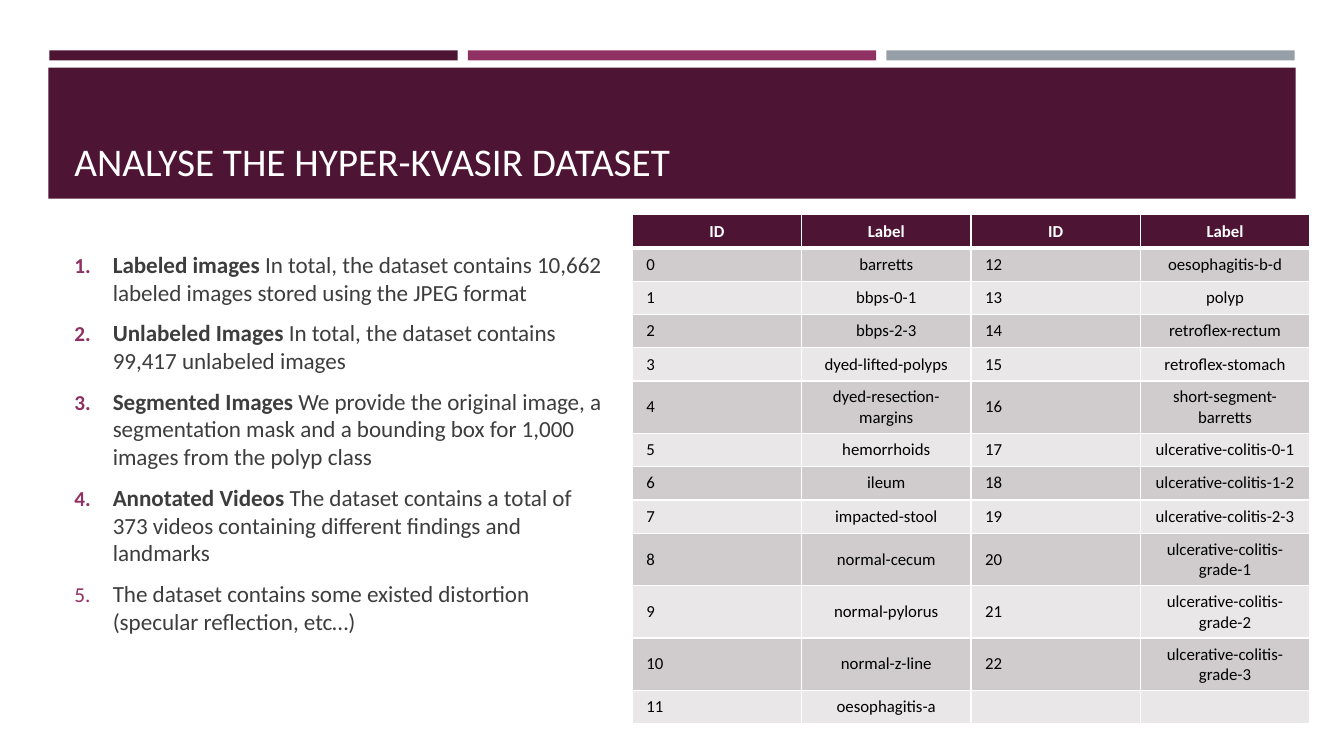
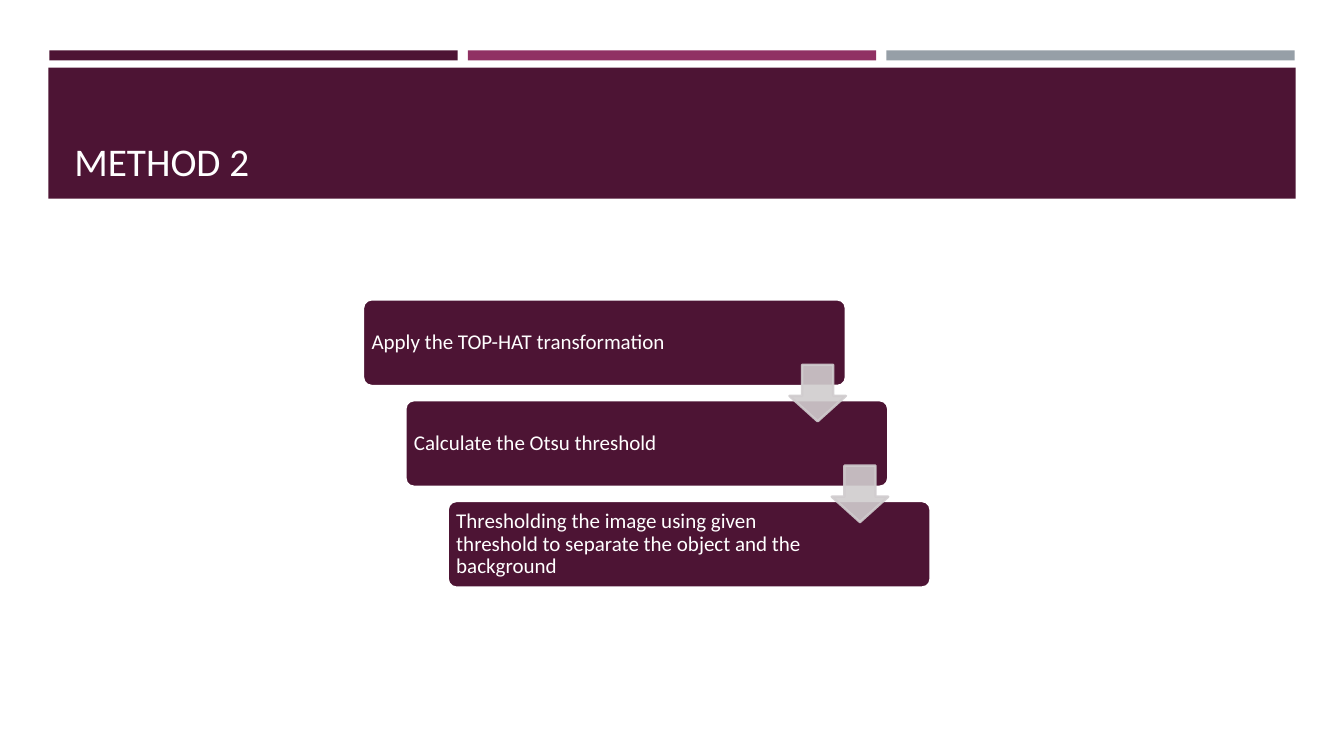
"""Build two slides: a dataset overview with a label table, and a method of three steps."""
import pptx
import pptx.dml.color
import pptx.enum.shapes
import pptx.enum.text
import pptx.oxml.ns
import pptx.util
from lxml import etree

Inches = pptx.util.Inches
Pt = pptx.util.Pt
Shape = pptx.enum.shapes.MSO_SHAPE
Anchor = pptx.enum.text.MSO_ANCHOR
Align = pptx.enum.text.PP_ALIGN
qn = pptx.oxml.ns.qn

FONT = "Calibri"
COLORS = {
    "plum": "4D1434",
    "berry": "903163",
    "slate": "969FA7",
    "white": "FFFFFF",
    "black": "000000",
    "text": "3D3D3D",
    "dark": "D0CCCE",
    "light": "E9E7E8",
}
POINTS = [
    ("Labeled images", " In total, the dataset contains 10,662 labeled images stored using the JPEG format"),
    ("Unlabeled Images", " In total, the dataset contains 99,417 unlabeled images"),
    ("Segmented Images", " We provide the original image, a segmentation mask and a bounding box "
                         "for 1,000 images from the polyp class"),
    ("Annotated Videos", " The dataset contains a total of 373 videos containing different findings and landmarks"),
    ("", "The dataset contains some existed distortion (specular reflection, etc…)"),
]
LABELS = [
    "barretts", "bbps-0-1", "bbps-2-3", "dyed-lifted-polyps",
    "dyed-resection-margins", "hemorrhoids", "ileum", "impacted-stool",
    "normal-cecum", "normal-pylorus", "normal-z-line", "oesophagitis-a",
    "oesophagitis-b-d", "polyp", "retroflex-rectum", "retroflex-stomach",
    "short-segment-barretts", "ulcerative-colitis-0-1",
    "ulcerative-colitis-1-2", "ulcerative-colitis-2-3",
    "ulcerative-colitis-grade-1", "ulcerative-colitis-grade-2",
    "ulcerative-colitis-grade-3",
]
STEPS = [
    "Apply the TOP-HAT transformation",
    "Calculate the Otsu threshold",
    "Thresholding the image using given threshold to separate the object and the background",
]


def rgb(name):
    return pptx.dml.color.RGBColor.from_string(COLORS[name])


def paint(fill, name):
    fill.solid()
    fill.fore_color.rgb = rgb(name)


def style(run, size, color, bold=False):
    run.font.name = FONT
    run.font.size = Pt(size)
    run.font.color.rgb = rgb(color)
    run.font.bold = bold


def add(parent, tag, **attrs):
    return etree.SubElement(parent, qn(tag), attrs)


def block(slide, kind, box, fill, line=None):
    shape = slide.shapes.add_shape(kind, *map(Inches, box))
    shape.shadow.inherit = False
    paint(shape.fill, fill)
    if line:
        shape.line.color.rgb = rgb(line)
        shape.line.width = Pt(1.75)
    else:
        shape.line.fill.background()
    return shape


def textbox(slide, box, anchor):
    frame = slide.shapes.add_textbox(*map(Inches, box)).text_frame
    frame.word_wrap = True
    frame.vertical_anchor = anchor
    return frame


def page(deck, title):
    slide = deck.slides.add_slide(deck.slide_layouts[6])
    for i, color in enumerate(("plum", "berry", "slate")):
        block(slide, Shape.RECTANGLE, (0.49 + 4.15 * i, 0.5, 4.05, 0.1), color)
    block(slide, Shape.RECTANGLE, (0.48, 0.67, 12.37, 1.3), "plum")
    frame = textbox(slide, (0.64, 0.77, 12.06, 1.11), Anchor.BOTTOM)
    frame.text = title
    style(frame.paragraphs[0].runs[0], 28, "white")
    return slide


def number(para):
    props = para._p.get_or_add_pPr()
    props.set("marL", str(Inches(0.38)))
    props.set("indent", str(-Inches(0.38)))
    add(add(props, "a:buClr"), "a:srgbClr", val=COLORS["berry"])
    add(props, "a:buSzPct", val="92000")
    add(props, "a:buFont", typeface=FONT)
    add(props, "a:buAutoNum", type="arabicPeriod")


def points(slide):
    frame = textbox(slide, (0.64, 2.38, 5.49, 4.02), Anchor.MIDDLE)
    for i, (lead, rest) in enumerate(POINTS):
        para = frame.add_paragraph() if i else frame.paragraphs[0]
        para.space_before = Pt(3.3)
        para.space_after = Pt(6)
        number(para)
        for words, bold in ((lead, True), (rest, False)):
            if words:
                run = para.add_run()
                run.text = words
                style(run, 16.5, "text", bold)


def edges(cell, top, bottom):
    props = cell._tc.get_or_add_tcPr()
    for side, width in (("L", 1), ("R", 1), ("T", top), ("B", bottom)):
        line = add(props, "a:ln" + side, w=str(Pt(width)))
        add(add(line, "a:solidFill"), "a:srgbClr", val=COLORS["white"])


def fill_cell(cell, words, row, col):
    head = row == 0
    edges(cell, 3 if row == 1 else 1, 3 if head else 1)
    paint(cell.fill, "plum" if head else "dark" if row % 2 else "light")
    cell.vertical_anchor = Anchor.MIDDLE
    cell.margin_left = cell.margin_right = Inches(0.14)
    cell.margin_top = cell.margin_bottom = Inches(0.06)
    para = cell.text_frame.paragraphs[0]
    if not words:
        add(para._p, "a:endParaRPr", sz="1200")
        return
    para.text = words
    para.alignment = Align.CENTER if head or col % 2 else Align.LEFT
    style(para.runs[0], 12, "white" if head else "black", head)


def labels(slide):
    half = (len(LABELS) + 1) // 2
    rows = [["ID", "Label"] * 2]
    for i in range(half):
        row = []
        for j in (i, i + half):
            row += [str(j), LABELS[j]] if j < len(LABELS) else ["", ""]
        rows.append(row)
    box = (6.27, 2.13, 6.72, 0.33 * len(rows))
    table = slide.shapes.add_table(len(rows), 4, *map(Inches, box)).table
    for r, row in enumerate(rows):
        table.rows[r].height = Inches(0.33)
        for c, words in enumerate(row):
            fill_cell(table.cell(r, c), words, r, c)


def step(slide, words, left, top):
    shape = block(slide, Shape.ROUNDED_RECTANGLE, (left, top, 4.79, 0.86), "plum", "white")
    shape.adjustments[0] = 0.1
    frame = shape.text_frame
    frame.word_wrap = True
    frame.vertical_anchor = Anchor.MIDDLE
    frame.margin_left = frame.margin_top = frame.margin_bottom = Inches(0.06)
    frame.margin_right = Inches(1.03)
    frame.text = words
    para = frame.paragraphs[0]
    para.alignment = Align.LEFT
    para.line_spacing = 0.9
    style(para.runs[0], 15, "white")


def arrow(slide, left, top):
    shape = block(slide, Shape.DOWN_ARROW, (left, top, 0.56, 0.56), "dark", "dark")
    shape.adjustments[0] = 0.55
    shape.adjustments[1] = 0.45
    for color in shape._element.spPr.iter(qn("a:srgbClr")):
        add(color, "a:alpha", val="90000")


def steps(slide):
    left, top, right, down = 3.6, 2.97, 0.42, 1
    for i, words in enumerate(STEPS):
        step(slide, words, left + right * i, top + down * i)
    for i in range(len(STEPS) - 1):
        arrow(slide, left + 4.23 + right * i, top + 0.65 + down * i)


def main():
    deck = pptx.Presentation()
    deck.slide_width = Inches(13.33)
    deck.slide_height = Inches(7.5)
    data = page(deck, "ANALYSE THE HYPER-KVASIR DATASET")
    points(data)
    labels(data)
    steps(page(deck, "METHOD 2"))
    deck.save("out.pptx")


if __name__ == "__main__":
    main()
